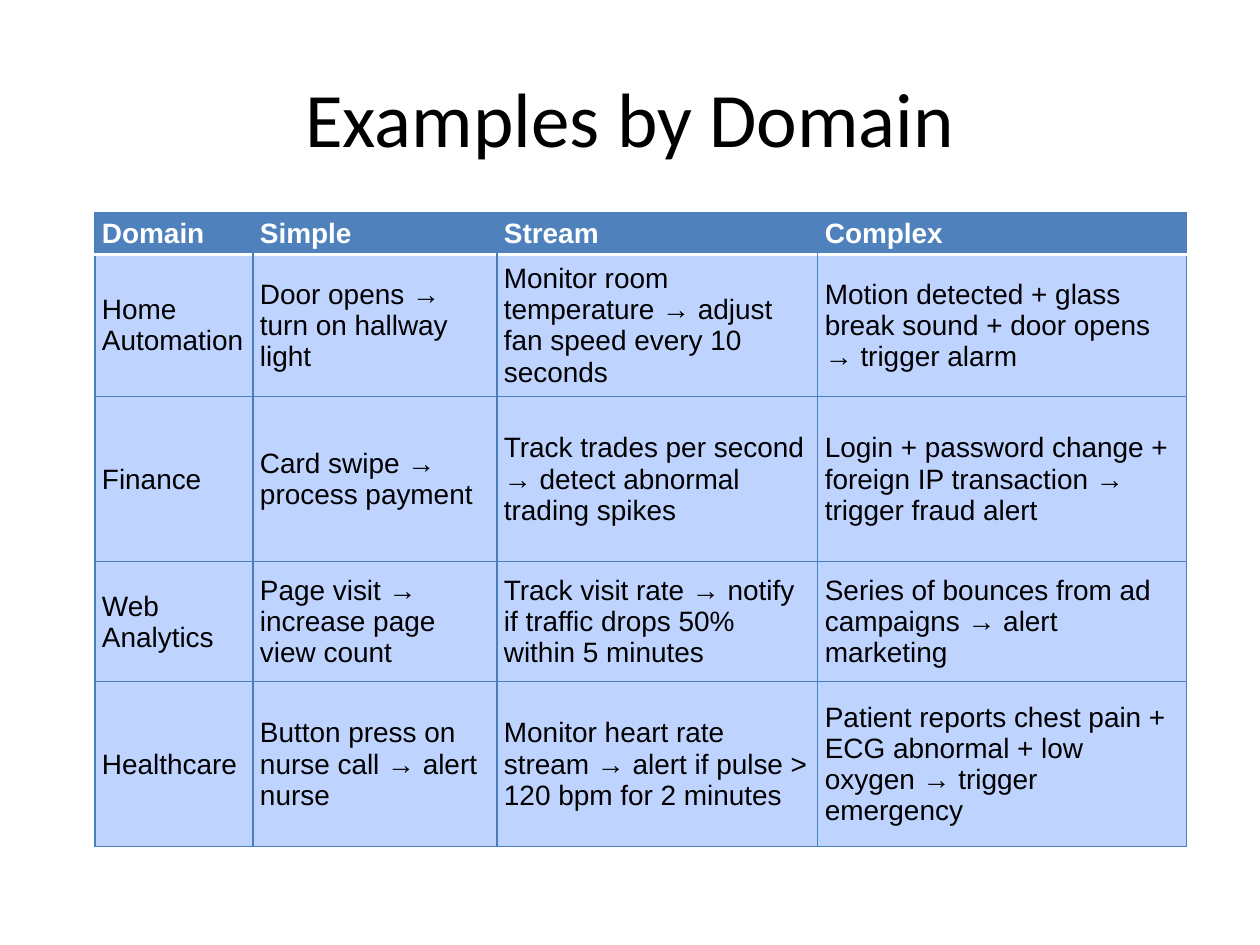
import pptx
import pptx.util
import pptx.dml.color
import pptx.enum.text
import pptx.oxml.ns
import lxml.etree

PX = 914400 // 126
COLORS = {"text": "000000", "white": "FFFFFF", "header": "4F81BD", "body": "BFD3FF", "line": "4B7EBC"}
TITLE = "Examples by Domain"
ROWS = [
    ["Domain", "Simple", "Stream", "Complex"],
    ["Home Automation", "Door opens → turn on hallway light",
     "Monitor room temperature → adjust fan speed every 10 seconds",
     "Motion detected + glass break sound + door opens → trigger alarm"],
    ["Finance", "Card swipe → process payment",
     "Track trades per second → detect abnormal trading spikes",
     "Login + password change + foreign IP transaction → trigger fraud alert"],
    ["Web Analytics", "Page visit → increase page view count",
     "Track visit rate → notify if traffic drops 50% within 5 minutes",
     "Series of bounces from ad campaigns → alert marketing"],
    ["Healthcare", "Button press on nurse call → alert nurse",
     "Monitor heart rate stream → alert if pulse > 120 bpm for 2 minutes",
     "Patient reports chest pain + ECG abnormal + low oxygen → trigger emergency"],
]
COL_WIDTHS = [158, 244, 321, 369]
ROW_HEIGHTS = [30, 142, 165, 120, 165]


def style_font(font, name, size, color, bold=False):
    font.name = name
    font.size = pptx.util.Pt(size)
    font.bold = bold
    font.color.rgb = pptx.dml.color.RGBColor.from_string(COLORS[color])


def add_border(cell, side, color, width):
    qn = pptx.oxml.ns.qn
    ln = lxml.etree.SubElement(cell._tc.get_or_add_tcPr(), qn(f"a:ln{side}"), w=str(pptx.util.Pt(width)))
    if color is None:
        lxml.etree.SubElement(ln, qn("a:noFill"))
    else:
        fill = lxml.etree.SubElement(ln, qn("a:solidFill"))
        lxml.etree.SubElement(fill, qn("a:srgbClr"), val=COLORS[color])


prs = pptx.Presentation()
prs.slide_width = 1260 * PX
prs.slide_height = 945 * PX
s = prs.slides.add_slide(prs.slide_layouts[6])

sp = s.shapes.add_textbox(63 * PX, 38 * PX, 1134 * PX, 157 * PX)
tf = sp.text_frame
tf.word_wrap = True
tf.vertical_anchor = pptx.enum.text.MSO_ANCHOR.MIDDLE
tf.text = TITLE
p = tf.paragraphs[0]
p.alignment = pptx.enum.text.PP_ALIGN.CENTER
style_font(p.runs[0].font, "Calibri", 44, "text")

table = s.shapes.add_table(len(ROWS), len(COL_WIDTHS), 95 * PX, 213 * PX,
                           sum(COL_WIDTHS) * PX, sum(ROW_HEIGHTS) * PX).table
for column, width in zip(table.columns, COL_WIDTHS):
    column.width = width * PX
for row, height in zip(table.rows, ROW_HEIGHTS):
    row.height = height * PX

for i, texts in enumerate(ROWS):
    header = i == 0
    for j, text in enumerate(texts):
        cell = table.cell(i, j)
        cell.margin_left = cell.margin_right = 7 * PX
        cell.margin_top = cell.margin_bottom = 4 * PX
        cell.vertical_anchor = pptx.enum.text.MSO_ANCHOR.MIDDLE
        add_border(cell, "L", None if header and j > 0 else "line", 0.75)
        add_border(cell, "R", None if header and j < len(texts) - 1 else "line", 0.75)
        add_border(cell, "T", *(("white", 2) if i == 1 else ("line", 0.75)))
        add_border(cell, "B", *(("white", 2) if header else ("line", 0.75)))
        cell.fill.solid()
        cell.fill.fore_color.rgb = pptx.dml.color.RGBColor.from_string(COLORS["header" if header else "body"])
        cell.text_frame.text = text
        r = cell.text_frame.paragraphs[0].runs[0]
        style_font(r.font, "Arial", 16, "white" if header else "text", header)

prs.save("out.pptx")
